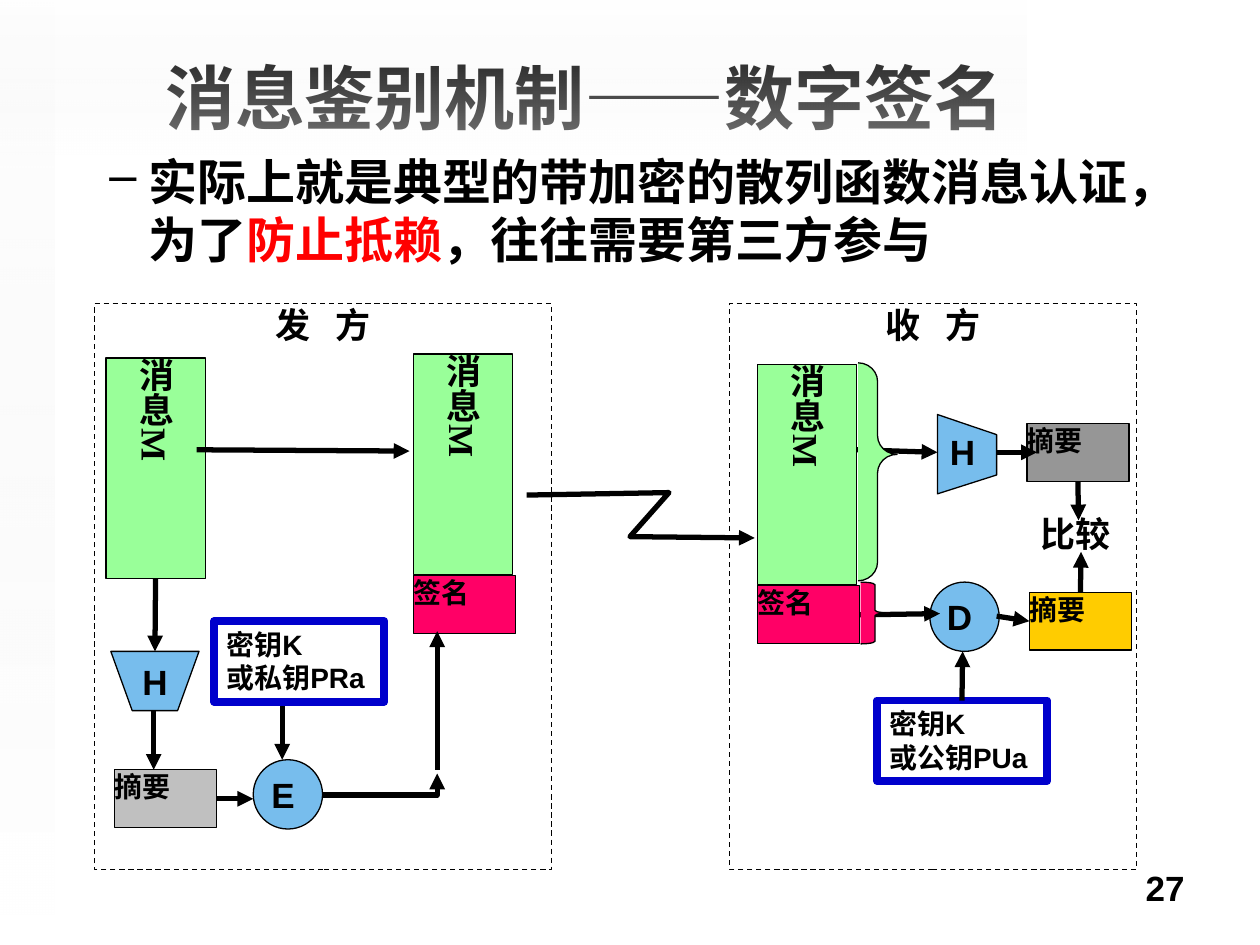
from pptx import Presentation
from pptx.dml.color import RGBColor
from pptx.enum.dml import MSO_LINE
from pptx.enum.shapes import MSO_CONNECTOR, MSO_SHAPE
from pptx.enum.text import MSO_ANCHOR, PP_ALIGN
from pptx.oxml.ns import qn
from pptx.oxml.xmlchemy import OxmlElement
from pptx.util import Inches, Pt

RECT, OVAL, BRACE = MSO_SHAPE.RECTANGLE, MSO_SHAPE.OVAL, MSO_SHAPE.RIGHT_BRACE
LEFT, CENTER, RIGHT = PP_ALIGN.LEFT, PP_ALIGN.CENTER, PP_ALIGN.RIGHT
TOP, MIDDLE = MSO_ANCHOR.TOP, MSO_ANCHOR.MIDDLE
STRAIGHT, ELBOW = MSO_CONNECTOR.STRAIGHT, MSO_CONNECTOR.ELBOW
SIDE_TOP, SIDE_LEFT, SIDE_BOTTOM, SIDE_RIGHT = range(4)
SANS, SERIF = "Arial", "Times New Roman"
BLACK, WHITE, GREEN, PINK = "000000", "FFFFFF", "99FF99", "FF0066"
BLUE, NAVY, RED = "77BDED", "0000CC", "FF0000"


def rgb(value):
    return RGBColor.from_string(value)


def child(parent, tag, **attributes):
    element = OxmlElement(tag)
    for name, value in attributes.items():
        element.set(name, value)
    parent.append(element)
    return element


def style(shape, fill=None, line=BLACK, line_width=0.75):
    shape.shadow.inherit = False
    if fill:
        shape.fill.solid()
        shape.fill.fore_color.rgb = rgb(fill)
    else:
        shape.fill.background()
    if line:
        shape.line.color.rgb = rgb(line)
        shape.line.width = Pt(line_width)
    else:
        shape.line.fill.background()
    return shape


def add_span(para, text, size=20, font=SANS, color=BLACK, spacing=None):
    span = para.add_run()
    span.text = text
    span.font.size, span.font.name, span.font.bold = Pt(size), font, True
    span.font.color.rgb = rgb(color)
    if spacing:
        span._r.get_or_add_rPr().set("spc", str(spacing))


def write(shape, text, align=LEFT, anchor=TOP, inset=True, wrap=True, **span_format):
    """Fill a shape with text, one paragraph per line."""
    frame = shape.text_frame
    frame.word_wrap = wrap
    frame.vertical_anchor = anchor
    frame.margin_left = frame.margin_right = Inches(0.1 if inset else 0)
    frame.margin_top = frame.margin_bottom = Inches(0.05 if inset else 0)
    for index, line in enumerate(text.split("\n")):
        para = frame.add_paragraph() if index else frame.paragraphs[0]
        para.alignment = align
        add_span(para, line, **span_format)


def add_box(page, kind, left, top, width, height, **look):
    shape = page.shapes.add_shape(kind, *map(Inches, (left, top, width, height)))
    return style(shape, **look)


def add_text_box(page, left, top, width, height):
    return page.shapes.add_textbox(*map(Inches, (left, top, width, height)))


def add_outline(page, points, closed=True, **look):
    start, *others = [(Inches(x), Inches(y)) for x, y in points]
    builder = page.shapes.build_freeform(*start)
    builder.add_line_segments(others, close=closed)
    return style(builder.convert_to_shape(), **look)


def add_arrowhead(shape):
    child(shape._element.spPr.get_or_add_ln(), "a:tailEnd", type="triangle")


def add_arrow(page, start, end, kind=STRAIGHT, source=None, target=None):
    """Draw an arrow; source and target are (shape, side) pairs."""
    arrow = page.shapes.add_connector(kind, *map(Inches, (*start, *end)))
    arrow.line.color.rgb = rgb(BLACK)
    arrow.line.width = Pt(3)
    add_arrowhead(arrow)
    child(arrow._element.spPr, "a:effectLst")
    if source:
        arrow.begin_connect(*source)
    if target:
        arrow.end_connect(*target)
    return arrow


def add_shade(page, left, top, width, height, rotation, angle, alpha):
    shade = add_box(page, RECT, left, top, width, height, line=None)
    shade.rotation = rotation
    shade.fill.gradient()
    shade.fill.gradient_angle = angle
    for stop, position, color in zip(shade.fill.gradient_stops, (0, 1), ("EAEAEA", WHITE)):
        stop.position = position
        stop.color.rgb = rgb(color)
    for color, value in zip(shade._element.spPr.iter(qn("a:srgbClr")), (0, alpha)):
        child(color, "a:alpha", val=str(value * 1000))


def add_party(page, left, width, name):
    box = add_box(page, RECT, left, 2.41, width, 4.49, fill=WHITE)
    box.line.dash_style = MSO_LINE.DASH
    write(box, name, align=CENTER, inset=False, font=SERIF, spacing=500)


def add_message(page, left, top):
    box = add_box(page, RECT, left, top, 0.79, 1.75, fill=GREEN)
    write(box, "消息M", align=CENTER, anchor=MIDDLE, inset=False, font=SERIF)
    box.text_frame._txBody.bodyPr.set("vert", "eaVert")
    return box


def add_label(page, left, top, text, fill):
    box = add_box(page, RECT, left, top, 0.81, 0.46, fill=fill)
    write(box, text, inset=False, size=16, font=SERIF)
    return box


def add_cipher(page, left, top, letter):
    circle = add_box(page, OVAL, left, top, 0.55, 0.55, fill=BLUE)
    write(circle, letter, align=CENTER, anchor=MIDDLE, wrap=False)


def add_key(page, left, top, text):
    box = add_box(page, RECT, left, top, 1.35, 0.64, fill=WHITE, line=NAVY, line_width=4.5)
    write(box, text, wrap=False, size=16)
    return box


def add_brace(page, left, top, width, height, fill, curve, tip):
    brace = add_box(page, BRACE, left, top, width, height, fill=fill)
    brace.adjustments[0], brace.adjustments[1] = curve, tip


def add_heading(page):
    title = page.shapes.title
    title.left, title.top, title.width, title.height = map(Inches, (0.27, 0.28, 8.74, 0.97))
    write(title, "消息鉴别机制——数字签名", align=CENTER, anchor=MIDDLE, size=40)
    body = add_text_box(page, 0.27, 1.15, 9.45, 1.1)
    body.text_frame.word_wrap = True
    para = body.text_frame.paragraphs[0]
    layout = para._p.get_or_add_pPr()
    layout.set("marL", str(Inches(0.81)))
    layout.set("indent", str(Inches(-0.31)))
    child(child(layout, "a:buClr"), "a:srgbClr", val=BLACK)
    child(layout, "a:buChar", char="–")
    add_span(para, "实际上就是典型的带加密的散列函数消息认证，为了", size=28)
    add_span(para, "防止抵赖", size=28, color=RED)
    add_span(para, "，往往需要第三方参与", size=28)


def add_sender(page):
    add_party(page, 0.75, 3.63, "发 方")
    message = add_message(page, 0.84, 2.84)
    add_message(page, 3.28, 2.81)
    add_label(page, 3.28, 4.57, "签名", PINK)
    digest = add_label(page, 0.91, 6.11, "摘要", "C0C0C0")
    add_arrow(page, (2.24, 5.48), (2.24, 6.03))
    add_cipher(page, 2.01, 6.03, "E ")
    add_key(page, 1.7, 4.93, "密钥K\n或私钥PRa")
    add_arrow(page, (1.72, 6.34), (2.01, 6.34), source=(digest, SIDE_RIGHT))
    add_arrow(page, (1.56, 3.57), (3.25, 3.58))
    add_arrow(page, (3.47, 6.11), (3.47, 5.01))
    add_arrow(page, (1.23, 4.59), (1.23, 5.17), source=(message, SIDE_BOTTOM))
    add_arrow(page, (1.22, 5.64), (1.22, 6.11))
    hash_box = add_outline(page, [(0.88, 5.17), (1.05, 5.64), (1.41, 5.64), (1.58, 5.17)], fill=BLUE)
    write(hash_box, "H", align=CENTER, anchor=MIDDLE, wrap=False)
    bend = add_arrow(page, (2.56, 6.31), (3.47, 6.14), kind=ELBOW)
    bend._element.spPr.find(qn("a:prstGeom")).set("prst", "bentConnector2")


def add_receiver(page):
    add_party(page, 5.79, 3.23, "收 方")
    signature = add_label(page, 6.01, 4.65, "签名", PINK)
    add_message(page, 6.01, 2.89)
    # Signature branch
    add_cipher(page, 7.38, 4.62, "D ")
    key = add_key(page, 6.96, 5.56, "密钥K\n或公钥PUa")
    add_arrow(page, (7.64, 5.56), (7.64, 5.17), source=(key, SIDE_TOP))
    add_arrow(page, (6.82, 4.88), (7.46, 4.87), source=(signature, SIDE_RIGHT))
    add_brace(page, 6.83, 4.62, 0.23, 0.49, PINK, 0.09, 0.5)
    # Message branch
    add_arrow(page, (6.8, 3.57), (7.44, 3.59))
    add_brace(page, 6.81, 2.88, 0.31, 1.73, GREEN, 0.48, 0.42)
    add_outline(page, [(7.44, 3.92), (7.91, 3.77), (7.91, 3.45), (7.44, 3.29)], fill=BLUE)
    write(add_text_box(page, 7.44, 3.37, 0.4, 0.44), "H", wrap=False)
    # Comparison of both digests
    compare = add_box(page, RECT, 8.26, 4.07, 0.6, 0.69, fill=WHITE, line=None)
    write(compare, "比较", inset=False, font=SERIF)
    computed = add_label(page, 8.15, 3.36, "摘要", "969696")
    decrypted = add_label(page, 8.17, 4.7, "摘要", "FFCC00")
    add_arrow(page, (7.91, 3.59), (8.23, 3.59))
    add_arrow(page, (7.91, 4.89), (8.17, 4.93), target=(decrypted, SIDE_LEFT))
    add_arrow(page, (8.56, 3.82), (8.56, 4.13), source=(computed, SIDE_BOTTOM))
    add_arrow(page, (8.58, 4.7), (8.58, 4.38), source=(decrypted, SIDE_TOP))


def main():
    deck = Presentation()
    deck.slide_width, deck.slide_height = Inches(10), Inches(7.5)
    page = deck.slides.add_slide(deck.slide_layouts[5])
    add_shade(page, 3.46, -3.46, 1.23, 8.15, rotation=90, angle=0, alpha=49)
    add_shade(page, 0, 0, 0.43, 7.26, rotation=180, angle=90, alpha=65)
    add_heading(page)
    add_sender(page)
    add_receiver(page)
    # Transmission channel between the parties
    channel = add_outline(page, [(4.18, 3.93), (5.31, 3.91), (5, 4.26), (5.99, 4.27)],
                          closed=False, line_width=3)
    add_arrowhead(channel)
    write(add_text_box(page, 7.17, 6.83, 2.33, 0.52), "27", align=RIGHT)
    deck.save("out.pptx")


if __name__ == "__main__":
    main()
